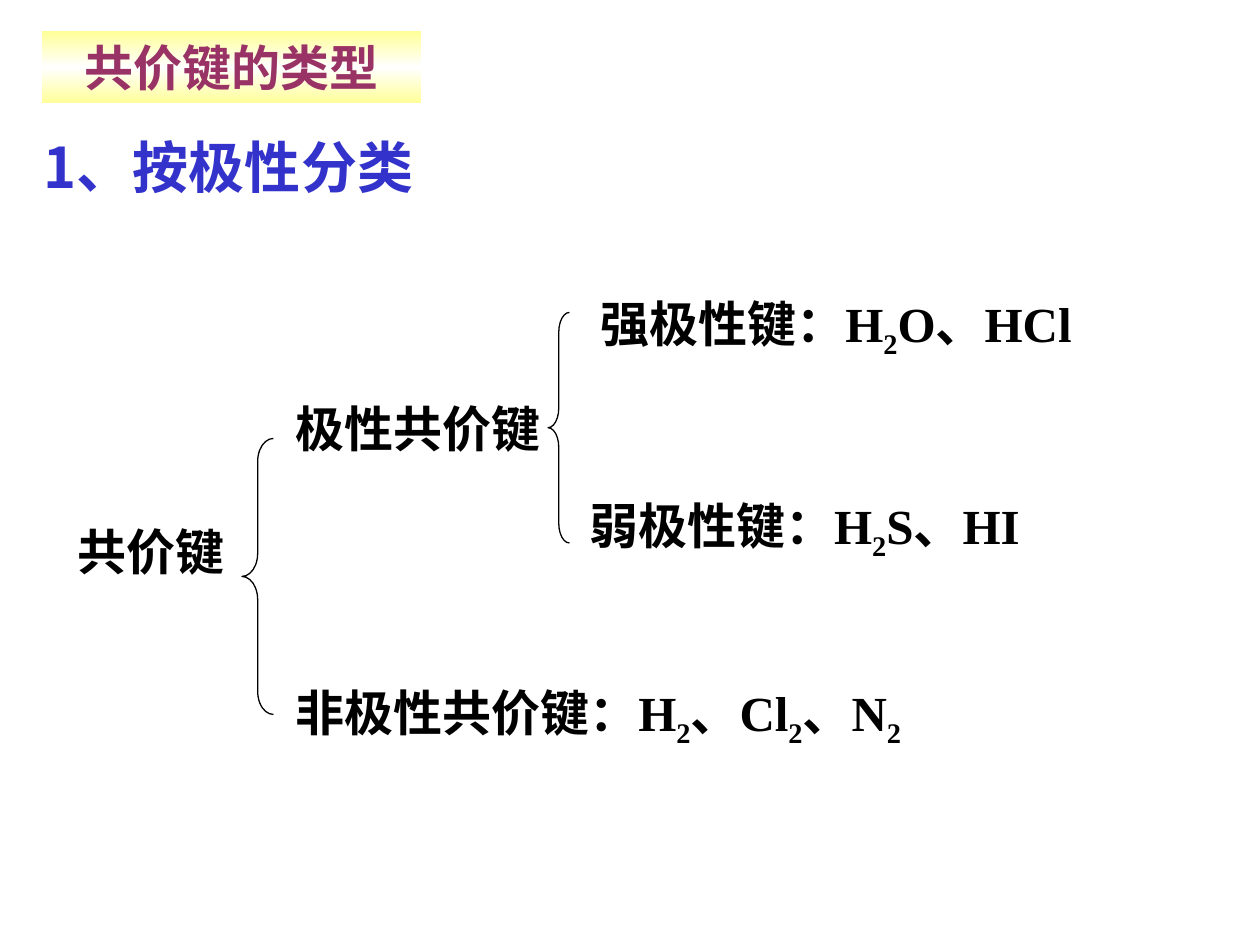
"""Build a slide that classifies covalent bonds by polarity."""
from copy import deepcopy
from dataclasses import dataclass

from pptx import Presentation
from pptx.dml.color import RGBColor
from pptx.enum import shapes, text
from pptx.oxml.ns import qn
from pptx.util import Inches, Pt


@dataclass(frozen=True)
class Theme:
    banner_text: str = "993366"
    heading_text: str = "3333CC"
    ink: str = "000000"
    banner_stops: tuple = ((0, "FFFF99"), (0.5, "FFFFFF"), (1, "FFFF99"))
    body_font: str = "Times New Roman"
    heading_font: str = "Noto Sans CJK SC"
    body_size: int = 28
    heading_size: int = 32
    line_width: float = 0.75
    branch_gap: int = 129


THEME = Theme()
BODY = {"name": THEME.body_font, "size": Pt(THEME.body_size), "bold": True}
HEADING = {**BODY, "name": THEME.heading_font, "size": Pt(THEME.heading_size)}

BANNER = ("共价键的类型", (0.33, 0.25, 3.01, 0.57))
LABELS = [
    (["1、按极性分类"], (0.25, 1, 4.04, 0.63), HEADING, THEME.heading_text),
    (["共价键"], (0.52, 4.09, 2.12, 0.57), BODY, THEME.ink),
    (["极性共价键", "非极性共价键：H_2_、Cl_2_、N_2_"],
     (2.25, 3.11, 5.82, 2.9), BODY, THEME.ink),
    (["强极性键：H_2_O、HCl"], (4.67, 2.28, 3.97, 0.57), BODY, THEME.ink),
    (["弱极性键：H_2_S、HI"], (4.58, 3.88, 3.65, 0.57), BODY, THEME.ink),
]
BRACES = [
    ((1.92, 3.48, 0.25, 2.19), 0.73),
    ((4.35, 2.48, 0.17, 1.83), 0.92),
]


def place(box):
    return [Inches(length) for length in box]


def write(shape, lines, style, color):
    """Fill a shape with lines in which underscores enclose subscripts."""
    frame = shape.text_frame
    frame.word_wrap = True
    frame.auto_size = text.MSO_AUTO_SIZE.SHAPE_TO_FIT_TEXT
    for index, line in enumerate(lines):
        paragraph = frame.add_paragraph() if index else frame.paragraphs[0]
        if index:
            paragraph.space_before = Pt(THEME.branch_gap)
        for position, part in enumerate(line.split("_")):
            if not part:
                continue
            run = paragraph.add_run()
            run.text = part
            for attribute, value in style.items():
                setattr(run.font, attribute, value)
            run.font.color.rgb = RGBColor.from_string(color)
            if position % 2:
                run.font._element.set("baseline", "-25000")


def add_banner(slide, title, box):
    shape = slide.shapes.add_shape(shapes.MSO_SHAPE.RECTANGLE, *place(box))
    shape.shadow.inherit = False
    shape.line.fill.background()
    shape.fill.gradient()
    shape.fill.gradient_angle = 90
    stop_list = shape._element.spPr.find(".//" + qn("a:gsLst"))
    stop_list.insert(1, deepcopy(stop_list[0]))
    for stop, (position, color) in zip(shape.fill.gradient_stops, THEME.banner_stops):
        stop.position = position
        stop.color.rgb = RGBColor.from_string(color)
    write(shape, [title], BODY, THEME.banner_text)
    shape.text_frame.paragraphs[0].alignment = text.PP_ALIGN.CENTER


def add_brace(slide, box, curl):
    shape = slide.shapes.add_shape(shapes.MSO_SHAPE.LEFT_BRACE, *place(box))
    shape.shadow.inherit = False
    shape.fill.background()
    shape.line.color.rgb = RGBColor.from_string(THEME.ink)
    shape.line.width = Pt(THEME.line_width)
    shape.adjustments[0] = curl
    shape.adjustments[1] = 0.5


def main():
    presentation = Presentation()
    presentation.slide_width, presentation.slide_height = Inches(10), Inches(7.5)
    slide = presentation.slides.add_slide(presentation.slide_layouts[6])
    add_banner(slide, *BANNER)
    for lines, box, style, color in LABELS:
        write(slide.shapes.add_textbox(*place(box)), lines, style, color)
    for box, curl in BRACES:
        add_brace(slide, box, curl)
    presentation.save("out.pptx")


if __name__ == "__main__":
    main()
